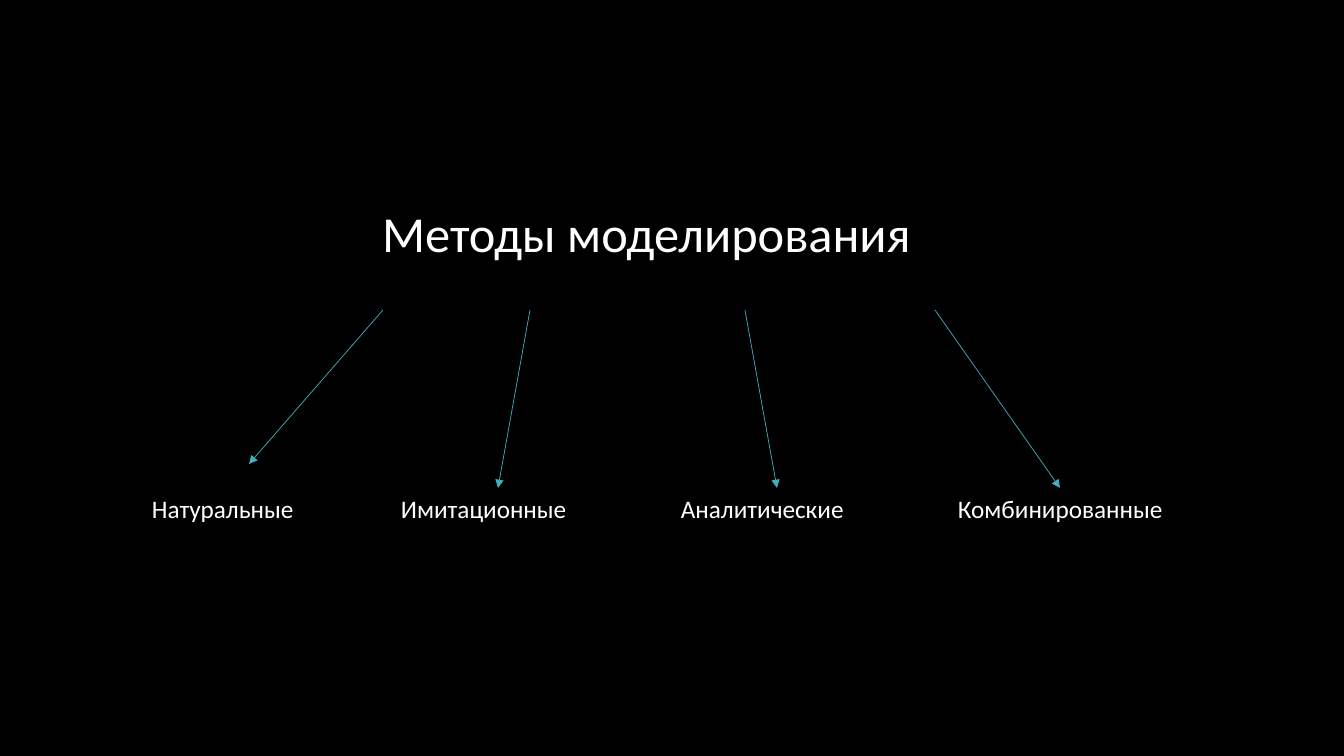
import lxml.etree
import pptx
import pptx.dml.color
import pptx.enum.shapes
import pptx.enum.text
import pptx.oxml.ns
import pptx.util

COLORS = {"background": "000000", "text": "FFFFFF", "arrow": "41AEBD"}
FONT = "Calibri"
SLIDE_WIDTH, SLIDE_HEIGHT = 1344, 756
EMU_PER_PX = 914400 / 100.8
TITLE_ONLY_LAYOUT = 5
ARROW_TOP = 310
LABEL_TOP, LABEL_HEIGHT = 488, 40

METHODS = [
    ("Натуральные", 142, 192, 383, (249, 464)),
    ("Имитационные", 391, 220, 530, (498, LABEL_TOP)),
    ("Аналитические", 671, 220, 745, (777, LABEL_TOP)),
    ("Комбинированные", 948, 260, 935, (1060, LABEL_TOP)),
]


def px(length):
    return pptx.util.Emu(round(length * EMU_PER_PX))


def rgb(name):
    return pptx.dml.color.RGBColor.from_string(COLORS[name])


class SlideBuilder:
    def __init__(self, presentation):
        presentation.slide_width = px(SLIDE_WIDTH)
        presentation.slide_height = px(SLIDE_HEIGHT)
        layout = presentation.slide_layouts[TITLE_ONLY_LAYOUT]
        self.slide = presentation.slides.add_slide(layout)
        fill = self.slide.background.fill
        fill.solid()
        fill.fore_color.rgb = rgb("background")

    def format_text(self, shape, text, size):
        frame = shape.text_frame
        frame.text = text
        frame.word_wrap = True
        frame.auto_size = pptx.enum.text.MSO_AUTO_SIZE.SHAPE_TO_FIT_TEXT
        frame.vertical_anchor = pptx.enum.text.MSO_ANCHOR.TOP
        paragraph = frame.paragraphs[0]
        paragraph.alignment = pptx.enum.text.PP_ALIGN.LEFT
        font = paragraph.runs[0].font
        font.name = FONT
        font.size = pptx.util.Pt(size)
        font.color.rgb = rgb("text")

    def title(self, text, left, top, width, height, size):
        shape = self.slide.shapes.title
        shape.left, shape.top = px(left), px(top)
        shape.width, shape.height = px(width), px(height)
        self.format_text(shape, text, size)

    def label(self, text, left, top, width, height, size):
        shape = self.slide.shapes.add_textbox(px(left), px(top), px(width), px(height))
        self.format_text(shape, text, size)

    def arrow(self, start, end):
        connector = self.slide.shapes.add_connector(
            pptx.enum.shapes.MSO_CONNECTOR.STRAIGHT, *map(px, (*start, *end))
        )
        connector.line.color.rgb = rgb("arrow")
        connector.line.width = pptx.util.Pt(0.5)
        qn = pptx.oxml.ns.qn
        properties = connector._element.spPr
        line = properties.find(qn("a:ln"))
        lxml.etree.SubElement(line, qn("a:tailEnd"), type="triangle")
        lxml.etree.SubElement(properties, qn("a:effectLst"))


def main():
    presentation = pptx.Presentation()
    builder = SlideBuilder(presentation)
    builder.title("Методы моделирования", 372, 197, 601, 72, 36)
    for name, left, width, arrow_start, arrow_end in METHODS:
        builder.arrow((arrow_start, ARROW_TOP), arrow_end)
        builder.label(name, left, LABEL_TOP, width, LABEL_HEIGHT, 18)
    presentation.save("out.pptx")


if __name__ == "__main__":
    main()
